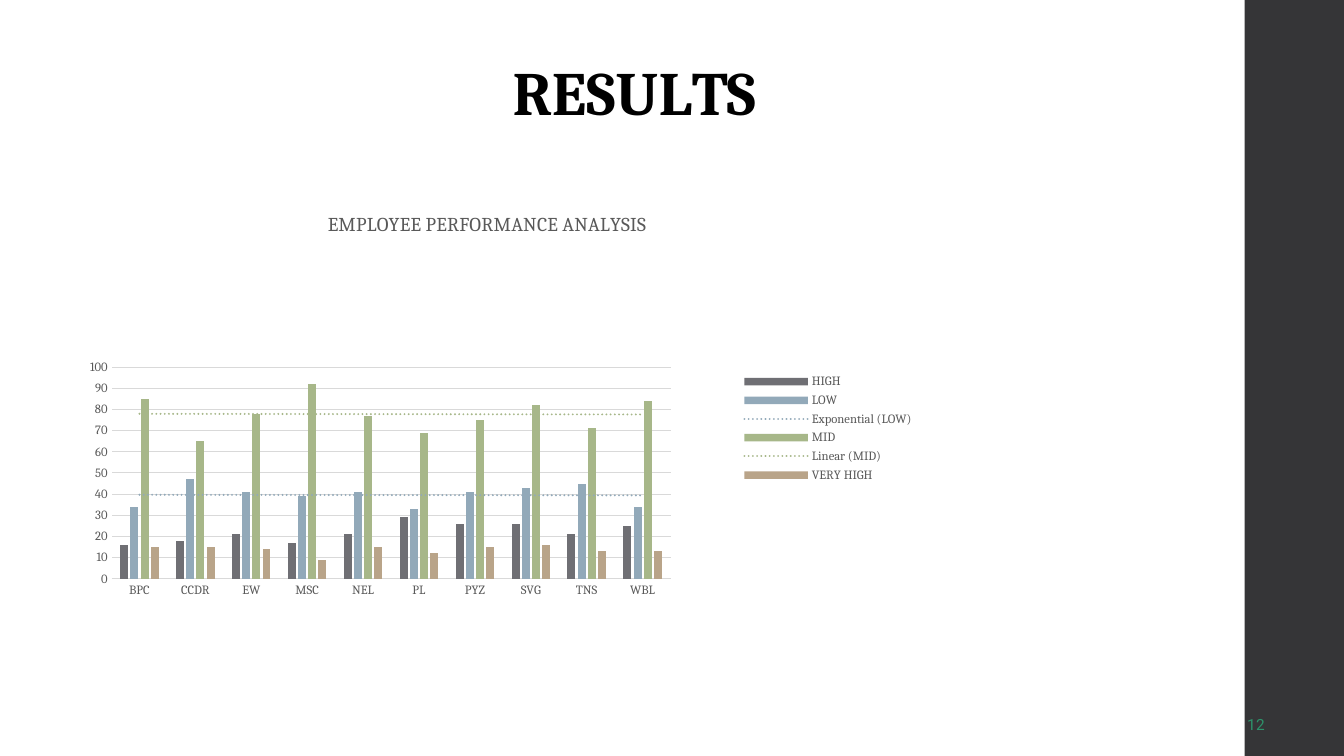
from dataclasses import dataclass

from lxml.etree import SubElement
from pptx import Presentation
from pptx.chart.data import CategoryChartData
from pptx.dml.color import RGBColor
from pptx.enum.chart import XL_CHART_TYPE, XL_LEGEND_POSITION, XL_TICK_MARK
from pptx.enum.shapes import MSO_SHAPE
from pptx.enum.text import MSO_ANCHOR, PP_ALIGN
from pptx.oxml import parse_xml
from pptx.oxml.ns import nsdecls, qn
from pptx.util import Pt


@dataclass(frozen=True)
class Theme:
    serif: str = "Cambria"
    sans: str = "Roboto"
    ink: str = "000000"
    sidebar: str = "353537"
    page_number: str = "2D936B"
    label: str = "595959"
    rule: str = "D9D9D9"
    high: str = "6F6F74"
    low: str = "92A9B9"
    mid: str = "A7B789"
    very_high: str = "B9A489"
    heading_size: float = 44
    chart_title_size: float = 14
    page_number_size: float = 11
    label_size: float = 9
    rule_width: float = 0.75
    trend_width: float = 1.5


class ResultsSlide:
    def __init__(self, deck, theme):
        self.theme = theme
        self.slide = deck.slides.add_slide(deck.slide_layouts[5])

    def style_font(self, font, name, size, color, bold=False):
        font.name = name
        font.size = Pt(size)
        font.bold = bold
        font.color.rgb = RGBColor.from_string(color)

    def style_label(self, font):
        self.style_font(font, self.theme.serif, self.theme.label_size, self.theme.label)

    def style_rule(self, line):
        line.color.rgb = RGBColor.from_string(self.theme.rule)
        line.width = Pt(self.theme.rule_width)

    def reset_insets(self, frame):
        frame.margin_left = frame.margin_right = frame.margin_bottom = 0
        frame.margin_top = Pt(0.95)

    def sidebar(self, left, top, width, height):
        band = self.slide.shapes.add_shape(
            MSO_SHAPE.RECTANGLE, Pt(left), Pt(top), Pt(width), Pt(height))
        band.shadow.inherit = False
        band.fill.solid()
        band.fill.fore_color.rgb = RGBColor.from_string(self.theme.sidebar)
        band.line.fill.background()

    def heading(self, spaced_letters, left, top, width, height):
        title = self.slide.shapes.title
        title.left, title.top, title.width, title.height = map(Pt, (left, top, width, height))
        frame = title.text_frame
        self.reset_insets(frame)
        frame.vertical_anchor = MSO_ANCHOR.BOTTOM
        paragraph = frame.paragraphs[0]
        paragraph.alignment = PP_ALIGN.CENTER
        paragraph.space_before = Pt(1.1)
        for letters, spacing in spaced_letters:
            run = paragraph.add_run()
            run.text = letters
            self.style_font(run.font, self.theme.serif, self.theme.heading_size,
                            self.theme.ink, bold=True)
            run.font._element.set("spc", str(round(spacing * 100)))

    def page_number(self, number, left, top, width, height):
        box = self.slide.shapes.add_textbox(Pt(left), Pt(top), Pt(width), Pt(height))
        frame = box.text_frame
        frame.word_wrap = True
        self.reset_insets(frame)
        frame.margin_left = Pt(2.9)
        frame.text = number
        paragraph = frame.paragraphs[0]
        paragraph.space_before = Pt(0.6)
        font = paragraph.runs[0].font
        self.style_font(font, self.theme.sans, self.theme.page_number_size,
                        self.theme.page_number)
        font._element.set("spc", "10")

    def column_chart(self, title, categories, series, left, top, width, height):
        data = CategoryChartData()
        data.categories = categories
        for name, _, _, values in series:
            data.add_series(name, values)
        chart = self.slide.shapes.add_chart(
            XL_CHART_TYPE.COLUMN_CLUSTERED, Pt(left), Pt(top), Pt(width), Pt(height), data).chart
        self.style_label(chart.font)
        chart.has_title = True
        heading = chart.chart_title.text_frame
        heading.text = title
        self.style_font(heading.paragraphs[0].runs[0].font, self.theme.serif,
                        self.theme.chart_title_size, self.theme.label)
        chart.has_legend = True
        chart.legend.position = XL_LEGEND_POSITION.RIGHT
        chart.legend.include_in_layout = False
        self.style_label(chart.legend.font)

        for axis in (chart.category_axis, chart.value_axis):
            axis.major_tick_mark = axis.minor_tick_mark = XL_TICK_MARK.NONE
            self.style_label(axis.tick_labels.font)
        self.style_rule(chart.category_axis.format.line)
        chart.value_axis.format.line.fill.background()
        chart.value_axis.minimum_scale = 0
        chart.value_axis.maximum_scale = 100
        chart.value_axis.major_unit = 10
        self.style_rule(chart.value_axis.major_gridlines.format.line)

        plot = chart.plots[0]
        plot.gap_width = 219
        plot.overlap = -27
        plot.vary_by_categories = False
        for columns, (_, color, trend, _) in zip(plot.series, series):
            columns.format.fill.solid()
            columns.format.fill.fore_color.rgb = RGBColor.from_string(color)
            if trend:
                self.trendline(columns, trend, color)
        return chart

    def trendline(self, columns, kind, color):
        trend = parse_xml(
            f'<c:trendline {nsdecls("c", "a")}><c:spPr>'
            f'<a:ln w="{Pt(self.theme.trend_width)}" cap="rnd">'
            f'<a:solidFill><a:srgbClr val="{color}"/></a:solidFill>'
            '<a:prstDash val="sysDot"/></a:ln></c:spPr>'
            f'<c:trendlineType val="{kind}"/>'
            '<c:dispRSqr val="0"/><c:dispEq val="0"/></c:trendline>')
        columns._element.find(qn("c:cat")).addprevious(trend)

    def place_plot(self, chart, x, y, w, h):
        area = chart._chartSpace.find(qn("c:chart")).find(qn("c:plotArea"))
        for automatic in area.findall(qn("c:layout")):
            area.remove(automatic)
        layout = parse_xml(f'<c:layout {nsdecls("c")}><c:manualLayout/></c:layout>')
        settings = {"layoutTarget": "inner", "xMode": "edge", "yMode": "edge",
                    "x": x, "y": y, "w": w, "h": h}
        for tag, value in settings.items():
            SubElement(layout[0], qn(f"c:{tag}")).set("val", str(value))
        area.insert(0, layout)


def main():
    theme = Theme()
    deck = Presentation()
    deck.slide_width, deck.slide_height = Pt(960), Pt(540)
    results = ResultsSlide(deck, theme)
    results.sidebar(889, 0, 71, 540)
    results.heading(
        [("R", -0.5), ("E", -0.4), ("S", 0.1), ("U", -0.3), ("L", -4), ("TS", -0.5)],
        60, 36, 786, 55)
    results.page_number("12", 888, 510, 18, 15)
    performance = results.column_chart(
        "EMPLOYEE PERFORMANCE ANALYSIS",
        ["BPC", "CCDR", "EW", "MSC", "NEL", "PL", "PYZ", "SVG", "TNS", "WBL"],
        [("HIGH", theme.high, None, (16, 18, 21, 17, 21, 29, 26, 26, 21, 25)),
         ("LOW", theme.low, "exp", (34, 47, 41, 39, 41, 33, 41, 43, 45, 34)),
         ("MID", theme.mid, "linear", (85, 65, 78, 92, 77, 69, 75, 82, 71, 84)),
         ("VERY HIGH", theme.very_high, None, (15, 15, 14, 9, 15, 12, 15, 16, 13, 13))],
        36, 138, 624, 336)
    results.place_plot(performance, 0.07, 0.37, 0.64, 0.45)
    deck.save("out.pptx")


if __name__ == "__main__":
    main()
